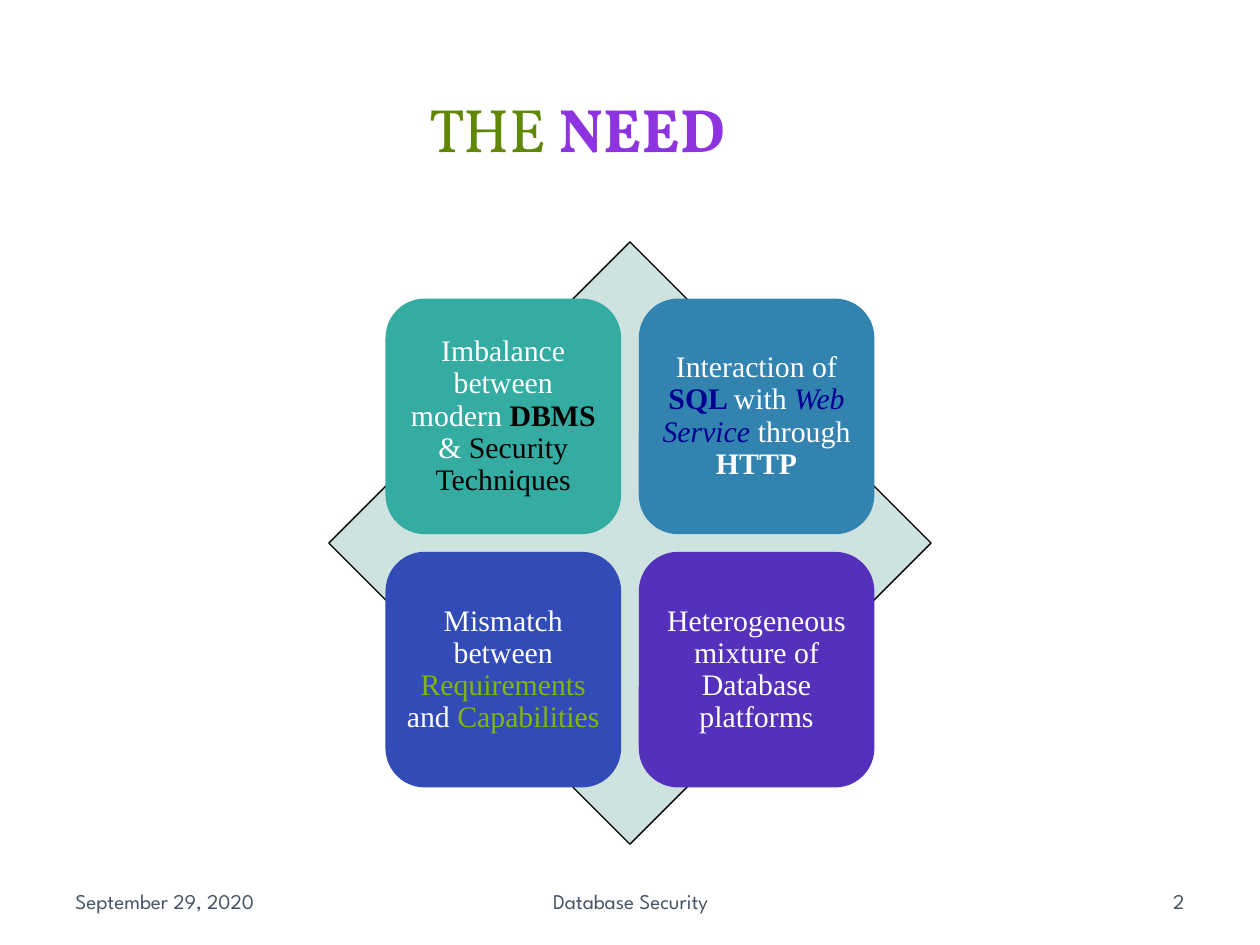
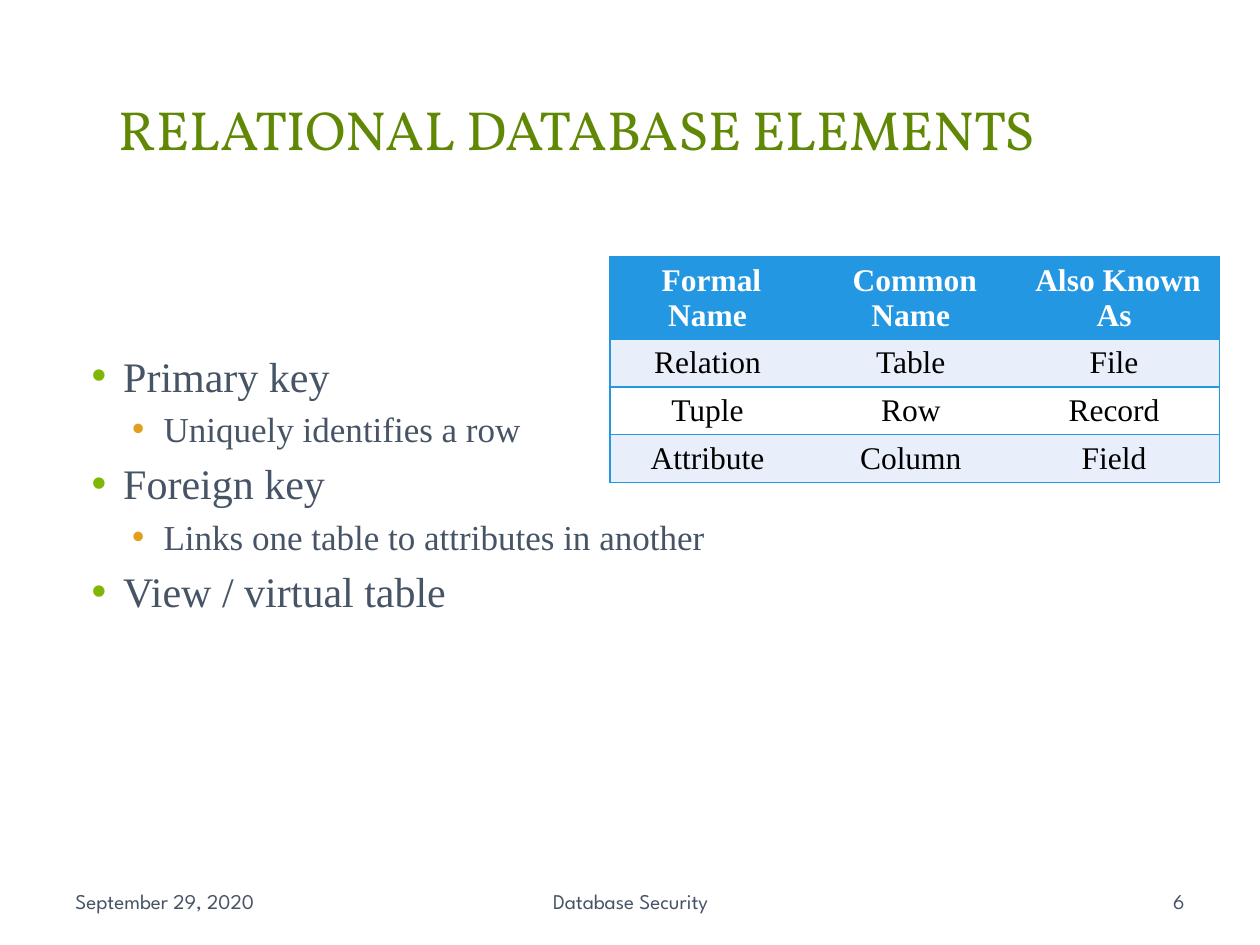
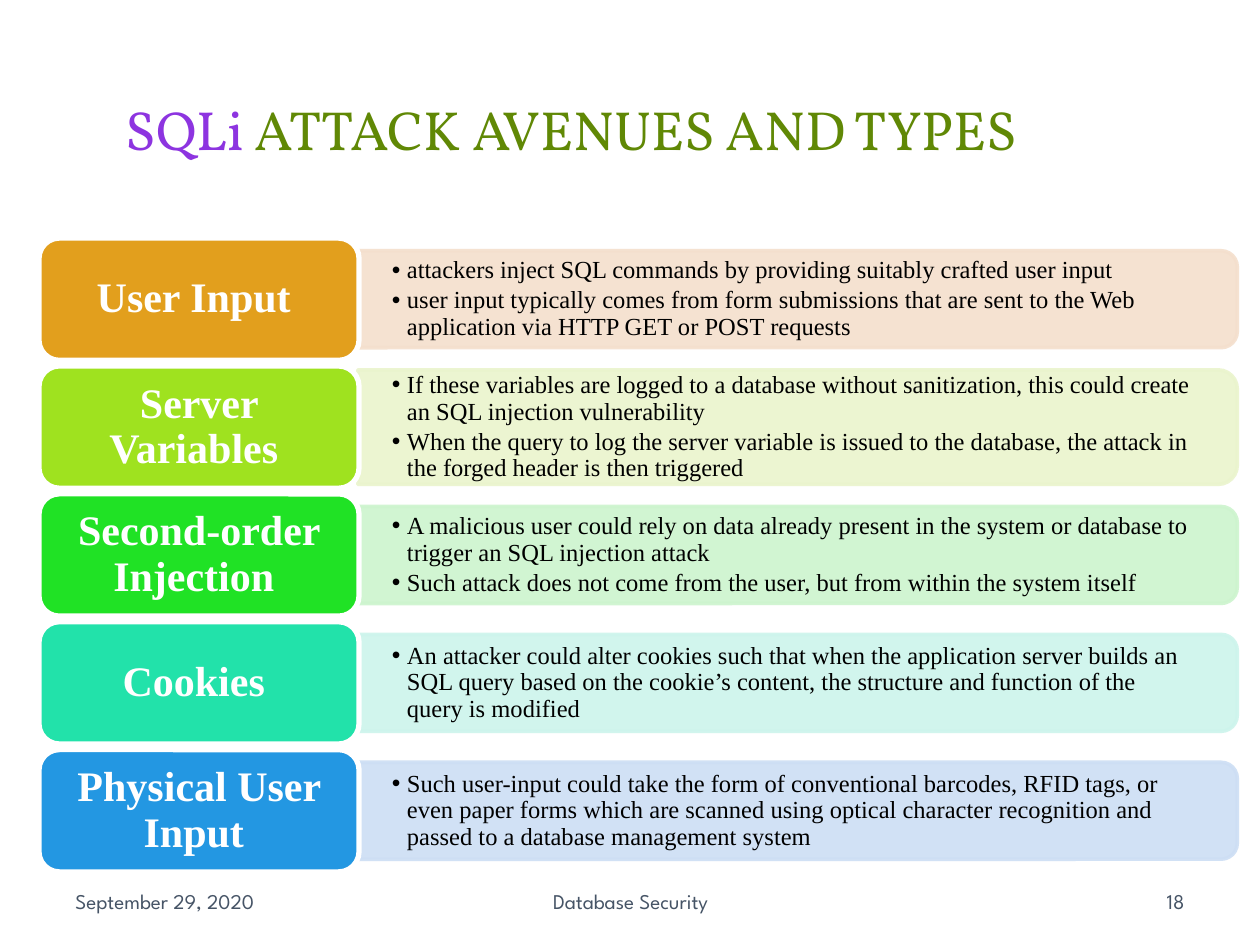
from dataclasses import dataclass

from lxml import etree
from pptx import Presentation
from pptx.dml.color import RGBColor
from pptx.enum.shapes import MSO_SHAPE
from pptx.enum.text import MSO_ANCHOR, PP_ALIGN
from pptx.oxml.ns import qn
from pptx.util import Inches, Pt

LEFT, CENTER, RIGHT = PP_ALIGN.LEFT, PP_ALIGN.CENTER, PP_ALIGN.RIGHT
TOP, MIDDLE = MSO_ANCHOR.TOP, MSO_ANCHOR.MIDDLE
ROUNDED, DIAMOND = MSO_SHAPE.ROUNDED_RECTANGLE, MSO_SHAPE.DIAMOND
RECTANGLE, TAB_SHAPE = MSO_SHAPE.RECTANGLE, MSO_SHAPE.ROUND_2_SAME_RECTANGLE


@dataclass(frozen=True)
class Theme:
    title_font: str = "Vollkorn"
    body_font: str = "Times New Roman"
    footer_font: str = "League Spartan"
    white: str = "FFFFFF"
    black: str = "000000"
    slate: str = "465466"
    olive: str = "608805"
    purple: str = "8D34E0"
    navy: str = "000090"
    green: str = "80B606"
    orange: str = "E29F1D"
    blue: str = "2397E2"
    band: str = "E8EFFA"
    diamond: str = "CEE3E0"
    need_title: float = 35
    title: float = 31.5
    key: float = 24
    key_note: float = 20
    cell: float = 18
    need: float = 17
    detail: float = 14
    footer: float = 12


THEME = Theme()

# A span is (text, colour, style), where style holds "b" and "i" as needed.
NEED_TITLE = [("THE ", THEME.olive, ""), ("NEED", THEME.purple, "b")]
NEEDS = [
    ("35ACA2", [("Imbalance between modern ", THEME.white, ""), ("DBMS ", THEME.black, "b"),
                ("& ", THEME.white, ""), ("Security Techniques", THEME.black, "")]),
    ("3383B1", [("Interaction of ", THEME.white, ""), ("SQL ", THEME.navy, "b"),
                ("with ", THEME.white, ""), ("Web Service ", THEME.navy, "i"),
                ("through ", THEME.white, ""), ("HTTP", THEME.white, "b")]),
    ("324BB6", [("Mismatch between ", THEME.white, ""), ("Requirements ", THEME.green, ""),
                ("and ", THEME.white, ""), ("Capabilities ", THEME.green, "")]),
    ("5430BB", [("Heterogeneous mixture of Database platforms", THEME.white, "")]),
]

ELEMENTS_TITLE = [("RELATIONAL DATABASE ELEMENTS", THEME.olive, "")]
KEYS = [
    (0, "Primary key"),
    (1, "Uniquely identifies a row"),
    (0, "Foreign key"),
    (1, "Links one table to attributes in another"),
    (0, "View / virtual table"),
]
KEY_LEVELS = [  # size, indent, bullet colour, space before
    (THEME.key, 0.38, THEME.green, 4.8),
    (THEME.key_note, 0.7, THEME.orange, 4),
]
NAMES = [
    ("Formal Name ", "Common Name ", "Also Known As "),
    ("Relation ", "Table ", "File "),
    ("Tuple ", "Row ", "Record "),
    ("Attribute ", "Column ", "Field "),
]

AVENUES_TITLE = [("SQLi ", THEME.purple, ""), ("ATTACK AVENUES AND TYPES ", THEME.olive, "")]
AVENUES = [  # label, label colour, panel colour, panel height, details
    ("User Input ", THEME.orange, "F4DFCD", 0.77, [
        "attackers inject SQL commands by providing suitably crafted user input",
        "user input typically comes from form submissions that are sent to the Web "
        "application via HTTP GET or POST requests"]),
    ("Server Variables ", "9FE21F", "EAF4CD", 0.91, [
        "If these variables are logged to a database without sanitization, this could "
        "create an SQL injection vulnerability",
        "When the query to log the server variable is issued to the database, the attack "
        "in the forged header is then triggered"]),
    ("Second-order Injection ", "20E225", "CDF4CE", 0.77, [
        "A malicious user could rely on data already present in the system or database to "
        "trigger an SQL injection attack",
        "Such attack does not come from the user, but from within the system itself"]),
    ("Cookies ", "22E2AA", "CDF4EC", 0.77, [
        "An attacker could alter cookies such that when the application server builds an "
        "SQL query based on the cookie’s content, the structure and function of the query "
        "is modified"]),
    ("Physical User Input ", THEME.blue, "CDDEF4", 0.77, [
        "Such user-input could take the form of conventional barcodes, RFID tags, or even "
        "paper forms which are scanned using optical character recognition and passed to a "
        "database management system"]),
]


def rgb(color):
    return RGBColor.from_string(color)


def write_spans(para, spans, size, font=THEME.body_font, align=CENTER):
    para.alignment = align
    for text, color, style in spans:
        span = para.add_run()
        span.text = text
        span.font.name = font
        span.font.size = Pt(size)
        span.font.color.rgb = rgb(color)
        span.font.bold = "b" in style
        span.font.italic = "i" in style


def set_bullet(para, indent, hanging, color):
    properties = para._p.get_or_add_pPr()
    properties.set("marL", str(Inches(indent)))
    properties.set("indent", str(-Inches(hanging)))
    tint = etree.SubElement(properties, qn("a:buClr"))
    etree.SubElement(tint, qn("a:srgbClr")).set("val", color)
    etree.SubElement(properties, qn("a:buFont")).set("typeface", "Arial")
    etree.SubElement(properties, qn("a:buChar")).set("char", "•")


def set_frame(shape, anchor=MIDDLE, inset_x=0.1, inset_y=0.05):
    frame = shape.text_frame
    frame.word_wrap = True
    frame.vertical_anchor = anchor
    frame.margin_left = frame.margin_right = Inches(inset_x)
    frame.margin_top = frame.margin_bottom = Inches(inset_y)
    return frame


def add_box(page, left, top, width, height, **frame_options):
    """Add a wrapping text box and return its text frame."""
    box = page.shapes.add_textbox(Inches(left), Inches(top), Inches(width), Inches(height))
    return set_frame(box, **frame_options)


def add_block(page, kind, left, top, width, height, fill, line=None, line_width=0):
    block = page.shapes.add_shape(kind, Inches(left), Inches(top), Inches(width), Inches(height))
    block.shadow.inherit = False
    block.fill.solid()
    block.fill.fore_color.rgb = rgb(fill)
    if line:
        block.line.color.rgb = rgb(line)
        block.line.width = Pt(line_width)
    else:
        block.line.fill.background()
    return block


def set_opacity(block, percent):
    for color in block.element.spPr.iter(qn("a:srgbClr")):
        etree.SubElement(color, qn("a:alpha")).set("val", str(percent * 1000))


def add_page(deck, title, title_size, number):
    """Add a blank page with the shared backdrop, title and footers."""
    page = deck.slides.add_slide(deck.slide_layouts[6])
    sheet = add_block(page, ROUNDED, 0.1, 0.11, 9.8, 7.29, THEME.white)
    sheet.adjustments[0] = 0.017
    title_band = add_block(page, RECTANGLE, 0.3, 0.3, 8.5, 1.45, THEME.white)
    set_opacity(title_band, 83)
    add_block(page, RECTANGLE, 0.41, 0.41, 8.28, 1.22, THEME.white)

    frame = add_box(page, 0.47, 0.45, 8.22, 1.14)
    write_spans(frame.paragraphs[0], title, title_size, THEME.title_font)
    footers = [(0.5, 2.33, "September 29, 2020", LEFT),
               (3.42, 3.17, "Database Security", CENTER),
               (7.17, 2.33, str(number), RIGHT)]
    for left, width, text, align in footers:
        frame = add_box(page, left, 6.95, width, 0.4)
        write_spans(frame.paragraphs[0], [(text, THEME.slate, "")], THEME.footer,
                    THEME.footer_font, align)
    return page


def build_need(deck):
    page = add_page(deck, NEED_TITLE, THEME.need_title, 2)
    center_x, center_y, diamond, tile, gap = 5, 4.31, 4.78, 1.87, 0.14
    add_block(page, DIAMOND, center_x - diamond / 2, center_y - diamond / 2, diamond, diamond,
              THEME.diamond, THEME.black, 0.75)
    start = tile + gap / 2
    for index, (color, spans) in enumerate(NEEDS):
        row, column = divmod(index, 2)
        block = add_block(page, ROUNDED, center_x - start + column * (tile + gap),
                          center_y - start + row * (tile + gap), tile, tile, color)
        para = set_frame(block, inset_x=0.07, inset_y=0.07).paragraphs[0]
        para.line_spacing = 0.9
        write_spans(para, spans, THEME.need)


def set_borders(cell, sides):
    """Draw the named sides (of L, R, T, B) and clear the others."""
    properties = cell._tc.get_or_add_tcPr()
    for side in "LRTB":
        border = etree.SubElement(properties, qn(f"a:ln{side}"))
        if side in sides:
            border.set("w", str(Pt(1)))
            paint = etree.SubElement(border, qn("a:solidFill"))
            etree.SubElement(paint, qn("a:srgbClr")).set("val", THEME.blue)
        else:
            etree.SubElement(border, qn("a:noFill"))


def add_names_table(page):
    width, header_height, row_height = 4.84, 0.65, 0.38
    height = header_height + row_height * (len(NAMES) - 1)
    table = page.shapes.add_table(len(NAMES), len(NAMES[0]), Inches(4.84), Inches(2.04),
                                  Inches(width), Inches(height)).table
    last = len(NAMES[0]) - 1
    for row, names in enumerate(NAMES):
        table.rows[row].height = Inches(row_height if row else header_height)
        if row == 0:
            fill, color, style = THEME.blue, THEME.white, "b"
        else:
            fill, color, style = (THEME.band if row % 2 else THEME.white), THEME.black, ""
        for column, name in enumerate(names):
            cell = table.cell(row, column)
            set_borders(cell, "TB" + "L" * (column == 0) + "R" * (column == last))
            cell.fill.solid()
            cell.fill.fore_color.rgb = rgb(fill)
            cell.vertical_anchor = MIDDLE
            cell.margin_top = cell.margin_bottom = Inches(0.02)
            write_spans(cell.text_frame.paragraphs[0], [(name, color, style)], THEME.cell)


def build_elements(deck):
    page = add_page(deck, ELEMENTS_TITLE, THEME.title, 6)
    frame = add_box(page, 0.5, 2.73, 9, 4.35, anchor=TOP)
    for index, (level, text) in enumerate(KEYS):
        size, indent, color, space = KEY_LEVELS[level]
        para = frame.add_paragraph() if index else frame.paragraphs[0]
        para.level = level
        if index:
            para.space_before = Pt(space)
        set_bullet(para, indent, 0.25, color)
        write_spans(para, [(text, THEME.slate, "")], size, align=LEFT)
    add_names_table(page)


def build_avenues(deck):
    page = add_page(deck, AVENUES_TITLE, THEME.title, 18)
    label_left, label_width, label_height, first_top, pitch = 0.31, 2.54, 0.97, 1.89, 1.015
    panel_left, panel_width = 2.84, 6.98
    for index, (label, color, panel_color, panel_height, details) in enumerate(AVENUES):
        top = first_top + index * pitch
        middle = top + label_height / 2
        # The panel is a tab turned a quarter, so its width and height swap about its centre.
        panel = add_block(page, TAB_SHAPE, panel_left + (panel_width - panel_height) / 2,
                          middle - panel_width / 2, panel_height, panel_width,
                          panel_color, panel_color, 2)
        panel.rotation = 90
        set_opacity(panel, 90)

        frame = add_box(page, panel_left, middle - panel_height / 2, 6.94, panel_height,
                        inset_x=0.27, inset_y=0.14)
        for number, detail in enumerate(details):
            para = frame.add_paragraph() if number else frame.paragraphs[0]
            para.line_spacing = 0.9
            if number:
                para.space_before = Pt(2)
            set_bullet(para, 0.12, 0.12, THEME.black)
            write_spans(para, [(detail, THEME.black, "")], THEME.detail, align=LEFT)

        block = add_block(page, ROUNDED, label_left, top, label_width, label_height,
                          color, THEME.white, 3)
        para = set_frame(block).paragraphs[0]
        para.line_spacing = 0.9
        write_spans(para, [(label, THEME.white, "b")], THEME.key)


def main():
    deck = Presentation()
    deck.slide_width, deck.slide_height = Inches(10), Inches(7.5)
    build_need(deck)
    build_elements(deck)
    build_avenues(deck)
    deck.save("out.pptx")


if __name__ == "__main__":
    main()
